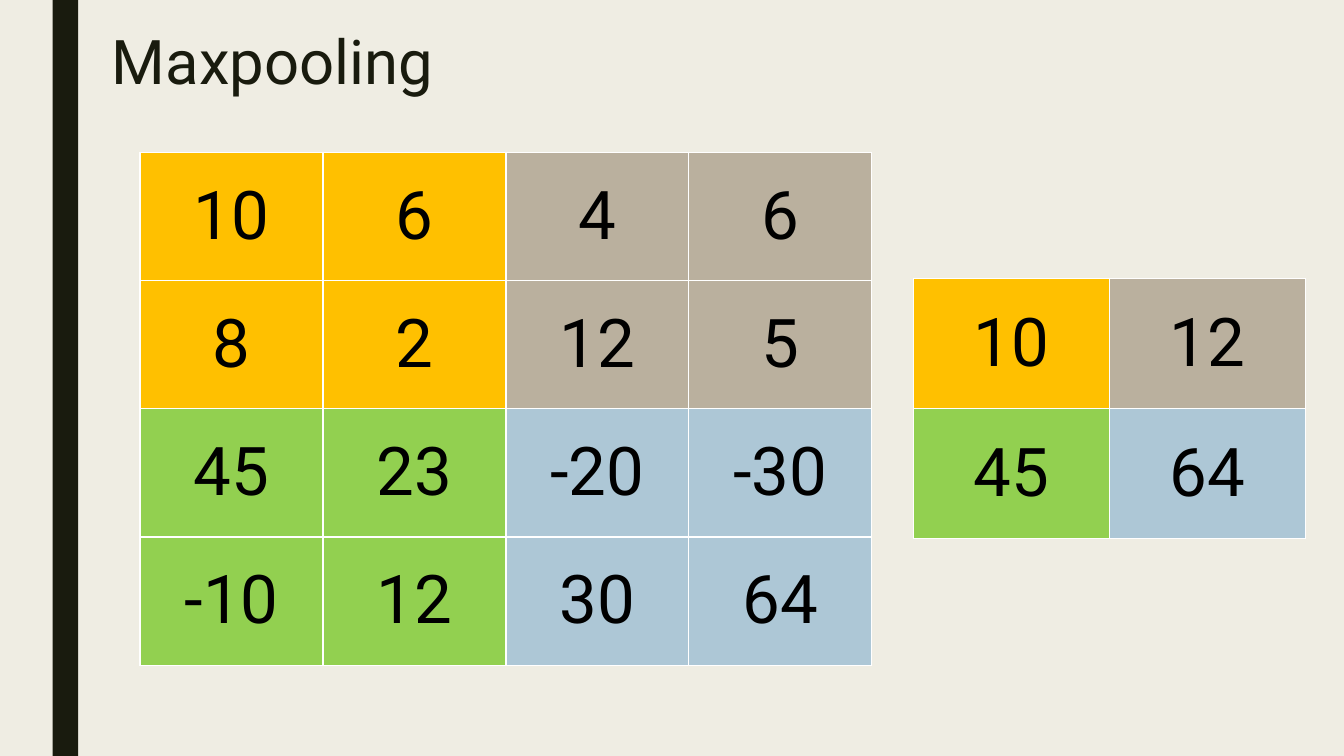
from lxml import etree
from pptx import Presentation
from pptx.dml.color import RGBColor
from pptx.enum import shapes, text
from pptx.oxml import ns
from pptx.util import Cm, Pt

COLORS = {
    "background": "EFEDE3", "dark": "191B0E", "border": "FFFFFF", "number": "000000",
    "gold": "FFC000", "taupe": "BAB09E", "green": "92D050", "blue": "ADC7D6",
}
FONT = "Roboto"
QUADRANTS = [["gold", "taupe"], ["green", "blue"]]
INPUT = [[10, 6, 4, 6], [8, 2, 12, 5], [45, 23, -20, -30], [-10, 12, 30, 64]]
POOLED = [[max(INPUT[r + i][c + j] for i in (0, 1) for j in (0, 1))
           for c in (0, 2)] for r in (0, 2)]


def rgb(name):
    return RGBColor.from_string(COLORS[name])


def format_run(r, size, color):
    for name, value in {"name": FONT, "size": Pt(size)}.items():
        setattr(r.font, name, value)
    r.font.color.rgb = rgb(color)


def add_borders(cell):
    """Draw a thin line on all four sides; lines must precede the cell fill."""
    tc_pr = cell._tc.get_or_add_tcPr()
    for i, side in enumerate(("lnL", "lnR", "lnT", "lnB")):
        ln = etree.Element(ns.qn(f"a:{side}"), w=str(Pt(1)))
        fill = etree.SubElement(ln, ns.qn("a:solidFill"))
        etree.SubElement(fill, ns.qn("a:srgbClr"), val=COLORS["border"])
        tc_pr.insert(i, ln)


def add_side_bar(s, x, y, w, h):
    bar = s.shapes.add_shape(shapes.MSO_SHAPE.RECTANGLE, Cm(x), Cm(y), Cm(w), Cm(h))
    bar.shadow.inherit = False
    bar.fill.solid()
    bar.fill.fore_color.rgb = rgb("dark")
    bar.line.fill.background()


def add_title(s, title, x, y, w, h):
    tf = s.shapes.add_textbox(Cm(x), Cm(y), Cm(w), Cm(h)).text_frame
    tf.word_wrap = True
    p = tf.paragraphs[0]
    p.line_spacing = 0.89
    r = p.add_run()
    r.text = title
    format_run(r, 44, "dark")


def add_matrix(s, values, x, y, w, h):
    """Add a square table of numbers, coloured by quadrant."""
    n = len(values)
    table = s.shapes.add_table(n, n, Cm(x), Cm(y), Cm(w), Cm(h)).table
    table.first_row = table.horz_banding = False
    for i, row in enumerate(values):
        for j, value in enumerate(row):
            cell = table.cell(i, j)
            cell.fill.solid()
            cell.fill.fore_color.rgb = rgb(QUADRANTS[2 * i // n][2 * j // n])
            add_borders(cell)
            cell.vertical_anchor = text.MSO_ANCHOR.MIDDLE
            p = cell.text_frame.paragraphs[0]
            p.alignment = text.PP_ALIGN.CENTER
            r = p.add_run()
            r.text = str(value)
            format_run(r, 48, "number")


def main():
    prs = Presentation()
    prs.slide_width, prs.slide_height = Cm(33.87), Cm(19.05)
    s = prs.slides.add_slide(prs.slide_layouts[6])
    s.background.fill.solid()
    s.background.fill.fore_color.rgb = rgb("background")
    add_side_bar(s, 1.33, 0, 0.64, 19.05)
    add_matrix(s, INPUT, 3.53, 3.84, 18.44, 12.92)
    add_matrix(s, POOLED, 23.02, 7.02, 9.88, 6.55)
    add_title(s, "Maxpooling", 2.57, 0.69, 28.75, 2.64)
    prs.save("out.pptx")


if __name__ == "__main__":
    main()
